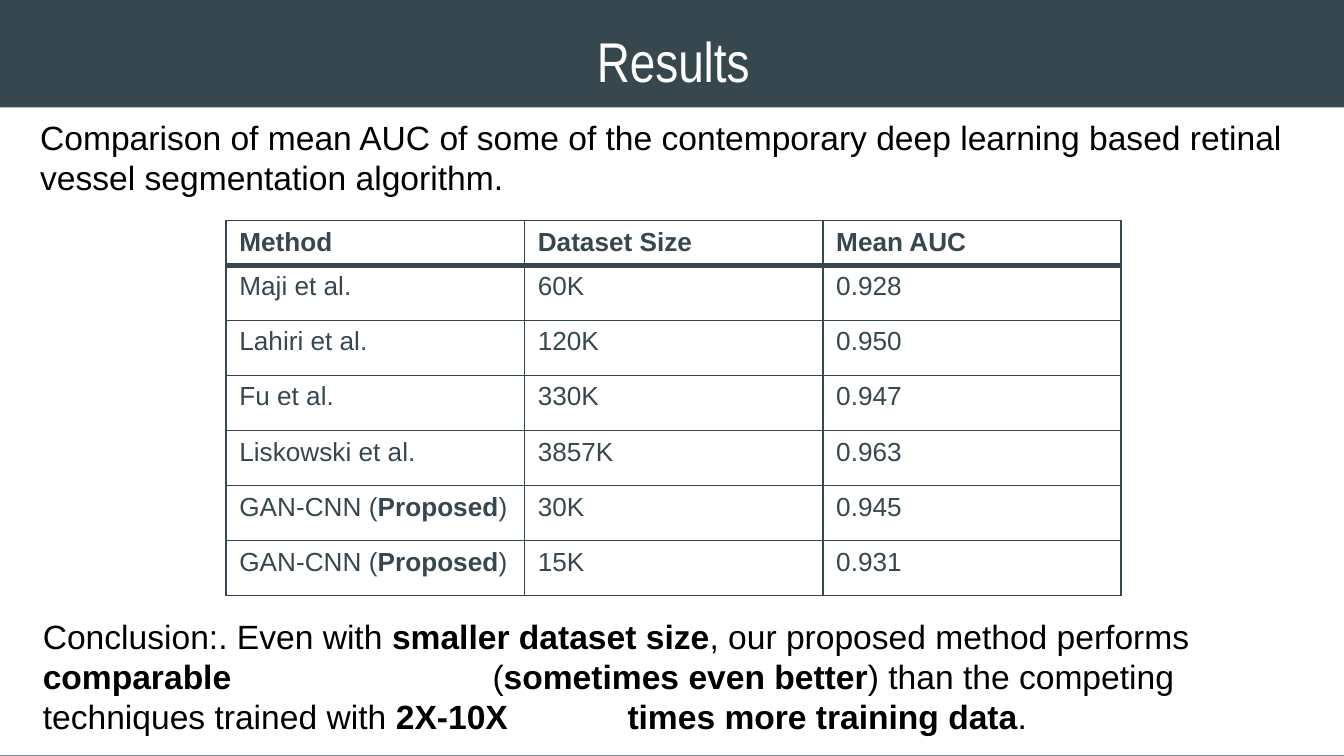
from lxml import etree
from pptx import Presentation, util as u
from pptx.dml.color import RGBColor
from pptx.enum import shapes, text
from pptx.oxml import ns

SLATE, WHITE, BLACK = "37474F", "FFFFFF", "000000"
INTRO = ("Comparison of mean AUC of some of the contemporary deep learning "
         "based retinal vessel segmentation algorithm.")
CONCLUSION = ("Conclusion:. Even with *smaller dataset size*, our proposed method performs "
              "*comparable*\t(*sometimes even better*) than the competing techniques "
              "trained with *2X-10X\ttimes more training data*.")
RESULTS = [
    ("*Method*", "*Dataset Size*", "*Mean AUC*"),
    ("Maji et al.", "60K", "0.928"),
    ("Lahiri et al.", "120K", "0.950"),
    ("Fu et al.", "330K", "0.947"),
    ("Liskowski et al.", "3857K", "0.963"),
    ("GAN-CNN (*Proposed*)", "30K", "0.945"),
    ("GAN-CNN (*Proposed*)", "15K", "0.931"),
]


def rgb(value):
    """Return the colour for a hex string."""
    return RGBColor.from_string(value)


def fill(target, color):
    """Give a shape, cell or background a solid fill."""
    target.fill.solid()
    target.fill.fore_color.rgb = rgb(color)


def apply(obj, values):
    """Set each attribute named in a dict of values."""
    for name, value in values.items():
        setattr(obj, name, value)


def write(p, marked, size, color, name="Arial"):
    """Write text whose parts between asterisks are bold."""
    for i, part in enumerate(marked.split("*")):
        if part:
            r = p.add_run()
            r.text = part
            apply(r.font, {"size": u.Pt(size), "name": name, "bold": i % 2 == 1})
            r.font.color.rgb = rgb(color)


def add_title(s, title):
    """Place and format the title placeholder."""
    sp = s.shapes.title
    apply(sp, {"left": u.Cm(0.89), "top": u.Cm(0.23), "width": u.Cm(23.67), "height": u.Cm(1.8)})
    tf = sp.text_frame
    apply(tf, {"vertical_anchor": text.MSO_ANCHOR.MIDDLE, "auto_size": text.MSO_AUTO_SIZE.NONE})
    p = tf.paragraphs[0]
    p.alignment = text.PP_ALIGN.CENTER
    write(p, title, 30, WHITE, "Arial Narrow")


def add_panel(s):
    """Add the white panel below the title band."""
    sp = s.shapes.add_shape(shapes.MSO_SHAPE.RECTANGLE, 0, u.Cm(2.03), u.Cm(25.45), u.Cm(12.25))
    sp.shadow.inherit = False
    fill(sp, WHITE)
    sp.line.fill.background()


def add_text(s, marked, box, tabs=()):
    """Add a wrapped text box with optional tab stops in centimetres."""
    tf = s.shapes.add_textbox(*map(u.Cm, box)).text_frame
    tf.word_wrap = True
    p = tf.paragraphs[0]
    write(p, marked, 18, BLACK)
    if tabs:
        stops = etree.SubElement(p._p.get_or_add_pPr(), ns.qn("a:tabLst"))
        for pos in tabs:
            etree.SubElement(stops, ns.qn("a:tab"), pos=str(u.Cm(pos)), algn="l")


def set_borders(cell, widths):
    """Draw cell borders of the given widths in points."""
    tcPr = cell._tc.get_or_add_tcPr()
    for i, (side, width) in enumerate(widths.items()):
        ln = etree.Element(ns.qn(f"a:ln{side}"), w=str(u.Pt(width)))
        solid = etree.SubElement(ln, ns.qn("a:solidFill"))
        etree.SubElement(solid, ns.qn("a:srgbClr"), val=SLATE)
        tcPr.insert(i, ln)


def add_results(s, rows):
    """Add the results table with a heavy rule under its header."""
    box = map(u.Cm, (4.27, 4.17, 16.92, 7.0))
    table = s.shapes.add_table(len(rows), len(rows[0]), *box).table
    for col in table.columns:
        col.width = u.Cm(5.64)
    for i, values in enumerate(rows):
        table.rows[i].height = u.Cm(1.04 if i else 0.76)
        for j, value in enumerate(values):
            cell = table.cell(i, j)
            fill(cell, WHITE)
            set_borders(cell, {"L": 1, "R": 1, "T": 3 if i == 1 else 1, "B": 1 if i else 3})
            write(cell.text_frame.paragraphs[0], value, 14, SLATE)


def main():
    """Build the results slide."""
    prs = Presentation()
    apply(prs, {"slide_width": u.Cm(25.4), "slide_height": u.Cm(14.29)})
    s = prs.slides.add_slide(prs.slide_layouts[5])
    fill(s.background, SLATE)
    add_panel(s)
    add_title(s, "Results")
    add_text(s, INTRO, (0.51, 2.08, 24.05, 1.8))
    add_text(s, CONCLUSION, (0.56, 11.51, 24.89, 2.57), tabs=(8.5, 11.05))
    add_results(s, RESULTS)
    prs.save("out.pptx")


if __name__ == "__main__":
    main()
